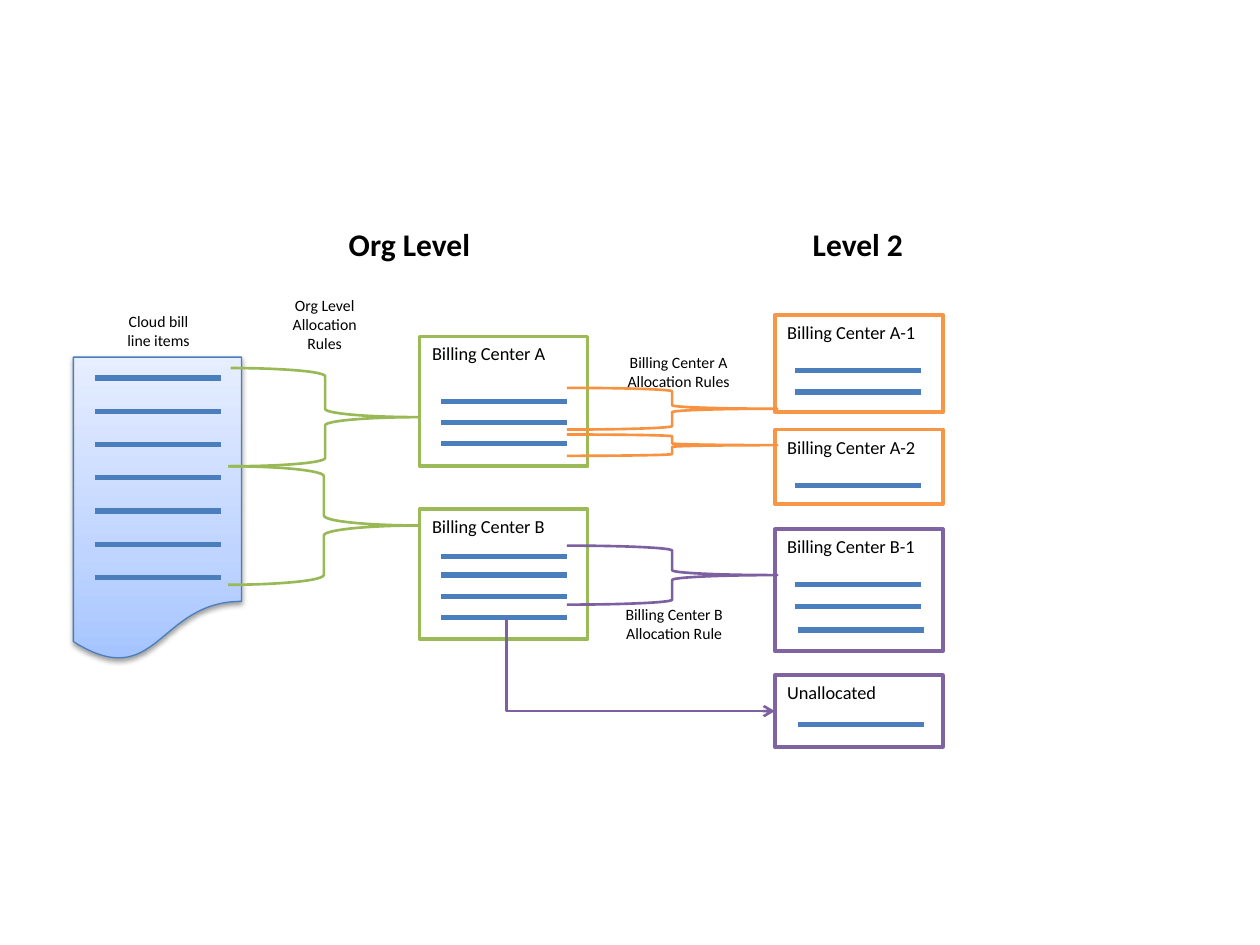
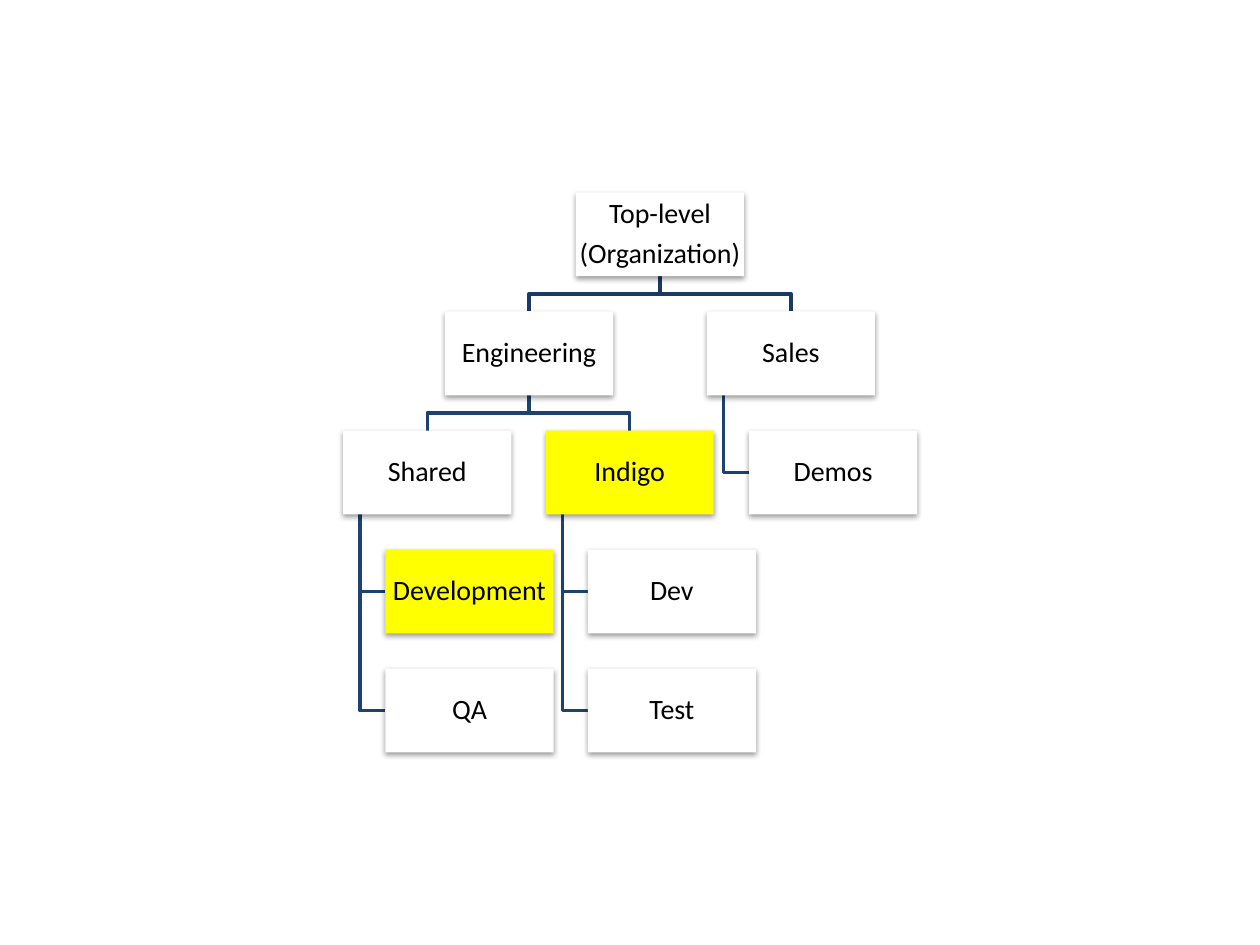
from dataclasses import dataclass

from copy import deepcopy
from pptx import Presentation
from pptx.dml.color import RGBColor
from pptx.enum.shapes import MSO_CONNECTOR as Link, MSO_SHAPE as Preset
from pptx.enum.text import MSO_ANCHOR as Anchor, MSO_AUTO_SIZE as AutoSize, PP_ALIGN as Align
from pptx.oxml import parse_xml
from pptx.oxml.ns import nsdecls, qn
from pptx.util import Cm, Pt


@dataclass(frozen=True)
class Theme:
    font: str = "Calibri"
    ink: str = "000000"
    paper: str = "FFFFFF"
    highlight: str = "FFFF00"
    item: str = "4B7EBC"
    org: str = "9BBB59"
    org_brace: str = "98B955"
    center_a: str = "F79646"
    center_a_brace: str = "F69240"
    center_b: str = "8064A2"
    center_b_brace: str = "7D60A0"
    branch_top: str = "193A64"
    branch: str = "1C4271"
    bill_stops: tuple = ((0, "A4C4FF"), (0.35, "BFD4FF"), (1, "E6EEFF"))
    heading_size: int = 18
    node_size: int = 16
    box_size: float = 10.5
    label_size: int = 9
    item_width: int = 3
    border_width: int = 2
    brace_width: float = 1.5


THEME = Theme()
SHADOW = (
    '<a:outerShdw blurRad="40000" dist="20000" dir="5400000" rotWithShape="0">'
    '<a:srgbClr val="000000"><a:alpha val="38000"/></a:srgbClr></a:outerShdw>'
)


def outline(item, colour=None, width=0, shadow=""):
    """Give a shape or connector its line and its effects, none by default."""
    if colour:
        item.line.color.rgb = RGBColor.from_string(colour)
        item.line.width = Pt(width)
    else:
        item.line.fill.background()
    item._element.spPr.append(
        parse_xml(f"<a:effectLst {nsdecls('a')}>{shadow}</a:effectLst>"))


def write(box, text, size, bold=False, frame_format=None, para_format=None):
    """Fill a box with one paragraph per line of text."""
    frame = box.text_frame
    frame.text = text
    for name, value in {"word_wrap": True, **(frame_format or {})}.items():
        setattr(frame, name, value)
    for para in frame.paragraphs:
        for name, value in (para_format or {}).items():
            setattr(para, name, value)
        for span in para.runs:
            font_format = {"name": THEME.font, "size": Pt(size), "bold": bold}
            for name, value in font_format.items():
                setattr(span.font, name, value)
            span.font.color.rgb = RGBColor.from_string(THEME.ink)


deck = Presentation()
deck.slide_width, deck.slide_height = Cm(25.4), Cm(19.05)
blank = deck.slide_layouts[6]

# Slide 1: how bill items are allocated to billing centers
page = deck.slides.add_slide(blank)

bill = page.shapes.add_shape(
    Preset.FLOWCHART_DOCUMENT, Cm(1.48), Cm(7.2), Cm(3.39), Cm(6.14))
bill.fill.gradient()
bill.fill.gradient_angle = 90
stop_list = bill._element.spPr.find(".//" + qn("a:gsLst"))
stop_list.append(deepcopy(stop_list[0]))
for stop, (position, colour) in zip(bill.fill.gradient_stops, THEME.bill_stops):
    stop.position = position
    stop.color.rgb = RGBColor.from_string(colour)
outline(bill, THEME.item, 0.75, SHADOW)

braces = [
    (4.65, 7.42, 3.81, 1.98, THEME.org_brace),
    (4.6, 9.4, 3.86, 2.39, THEME.org_brace),
    (11.43, 7.82, 4.24, 0.84, THEME.center_a_brace),
    (11.43, 8.76, 4.24, 0.43, THEME.center_a_brace),
    (11.43, 11, 4.24, 1.19, THEME.center_b_brace),
]
org_left, level_2_left = 8.46, 15.62
centers = [
    ("Billing Center A", org_left, 6.78, 2.62, THEME.org),
    ("Billing Center B", org_left, 10.26, 2.62, THEME.org),
    ("Billing Center A-1", level_2_left, 6.35, 1.96, THEME.center_a),
    ("Billing Center A-2", level_2_left, 8.66, 1.5, THEME.center_a),
    ("Billing Center B-1", level_2_left, 10.67, 2.46, THEME.center_b),
    ("Unallocated", level_2_left, 13.61, 1.45, THEME.center_b),
]
boxes = {}
for name, left, top, height, colour in centers:
    box = page.shapes.add_shape(
        Preset.RECTANGLE, Cm(left), Cm(top), Cm(3.39), Cm(height))
    box.fill.solid()
    box.fill.fore_color.rgb = RGBColor.from_string(THEME.paper)
    outline(box, colour, THEME.border_width)
    write(box, name, THEME.box_size,
          frame_format={"vertical_anchor": Anchor.TOP},
          para_format={"alignment": Align.LEFT})
    boxes[name] = box

for left, top, width, height, colour in braces:
    brace = page.shapes.add_shape(
        Preset.RIGHT_BRACE, Cm(left), Cm(top), Cm(width), Cm(height))
    brace.fill.background()
    outline(brace, colour, THEME.brace_width)

item_stacks = [  # left, first top, step, count
    (1.91, 7.62, 0.67, 7),
    (8.89, 8.1, 0.42, 3),
    (8.89, 11.22, 0, 1),
    (8.89, 11.59, 0.43, 3),
    (16.03, 7.47, 0.43, 2),
    (16.03, 9.78, 0, 1),
    (16.03, 11.79, 0.43, 2),
    (16.08, 12.7, 0, 1),
    (16.08, 14.61, 0, 1),
]
for left, first_top, step, count in item_stacks:
    for index in range(count):
        top = Cm(first_top + step * index)
        item = page.shapes.add_connector(
            Link.STRAIGHT, Cm(left), top, Cm(left + 2.54), top)
        outline(item, THEME.item, THEME.item_width)

leftover = page.shapes.add_connector(
    Link.ELBOW, Cm(10.21), Cm(12.47), Cm(level_2_left), Cm(14.33))
leftover.end_connect(boxes["Unallocated"], 1)
outline(leftover, THEME.center_b_brace, THEME.brace_width)
leftover._element.spPr.find(".//" + qn("a:avLst")).append(
    parse_xml(f'<a:gd {nsdecls("a")} name="adj1" fmla="val 0"/>'))
leftover.line._get_or_add_ln().append(
    parse_xml(f'<a:tailEnd {nsdecls("a")} type="arrow"/>'))

labels = [
    ("Org Level", 6.3, 4.42, 3.91, 1.07, THEME.heading_size, True),
    ("Level 2", 15.34, 4.42, 3.91, 1.07, THEME.heading_size, True),
    ("Cloud bill line items", 2.24, 6.17, 1.91, 1.02, THEME.label_size, False),
    ("Org Level Allocation Rules", 5.59, 5.84, 1.91, 1.42, THEME.label_size, False),
    ("Billing Center A Allocation Rules", 12.32, 6.99, 2.72, 1.02, THEME.label_size, False),
    ("Billing Center B Allocation Rule", 12.32, 12.07, 2.54, 1.02, THEME.label_size, False),
]
for text, left, top, width, height, size, bold in labels:
    label = page.shapes.add_textbox(Cm(left), Cm(top), Cm(width), Cm(height))
    write(label, text, size, bold,
          frame_format={"auto_size": AutoSize.SHAPE_TO_FIT_TEXT},
          para_format={"alignment": Align.CENTER})

# Slide 2: organization tree
page = deck.slides.add_slide(blank)

node_width, node_height = 3.39, 1.69
first_row, row_step = 3.88, 2.4
half_gap = (row_step - node_height) / 2
trunk_inset, hanging_indent = 0.34, 0.85
root = "Top-level\n(Organization)"
nodes = [  # name, parent, row, left (None hangs the node below its parent)
    (root, None, 0, 11.61),
    ("Engineering", root, 1, 8.97),
    ("Sales", root, 1, 14.25),
    ("Shared", "Engineering", 2, 6.92),
    ("Indigo", "Engineering", 2, 11),
    ("Demos", "Sales", 2, None),
    ("Development", "Shared", 3, None),
    ("QA", "Shared", 4, None),
    ("Dev", "Indigo", 3, None),
    ("Test", "Indigo", 4, None),
]
highlighted = {"Indigo", "Development"}

places = {}
for name, parent, row, left in nodes:
    top = first_row + row_step * row
    hanging = left is None
    if hanging:
        left = places[parent][0] + hanging_indent
    places[name] = left, top
    if parent is None:
        continue
    parent_left, parent_top = places[parent]
    start_y = parent_top + node_height
    if hanging:
        start_x = parent_left + trunk_inset
        middle = top + node_height / 2
        bends = [(start_x, middle), (left, middle)]
    else:
        start_x = parent_left + node_width / 2
        center = left + node_width / 2
        bends = [(start_x, start_y + half_gap), (center, start_y + half_gap), (center, top)]
    builder = page.shapes.build_freeform(Cm(start_x), Cm(start_y))
    builder.add_line_segments([(Cm(x), Cm(y)) for x, y in bends], close=False)
    branch = builder.convert_to_shape()
    branch.fill.background()
    outline(branch, THEME.branch_top if parent == root else THEME.branch, THEME.border_width)

margins = {f"margin_{side}": Cm(0.03) for side in ("left", "top", "right", "bottom")}
for name, (left, top) in places.items():
    node = page.shapes.add_shape(
        Preset.RECTANGLE, Cm(left), Cm(top), Cm(node_width), Cm(node_height))
    node.fill.solid()
    node.fill.fore_color.rgb = RGBColor.from_string(
        THEME.highlight if name in highlighted else THEME.paper)
    outline(node, shadow=SHADOW)
    write(node, name, THEME.node_size,
          frame_format={"vertical_anchor": Anchor.MIDDLE, **margins},
          para_format={"alignment": Align.CENTER, "line_spacing": 0.9,
                       "space_after": Pt(5.6)})

deck.save("out.pptx")
